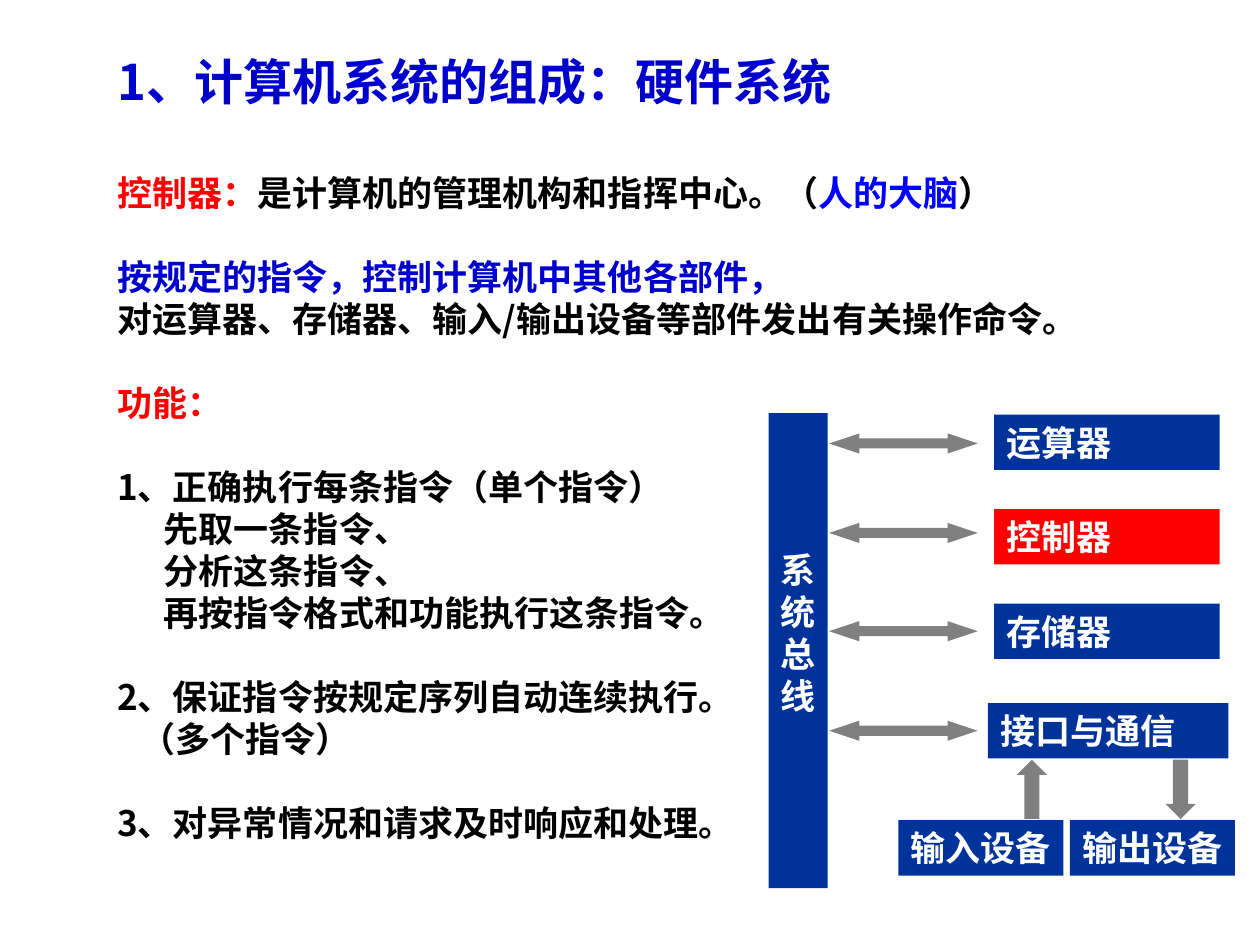
import dataclasses

import pptx
import pptx.dml.color
import pptx.enum.shapes
import pptx.enum.text
import pptx.oxml
import pptx.oxml.ns
import pptx.util

Inches = pptx.util.Inches
Pt = pptx.util.Pt
SHAPE = pptx.enum.shapes.MSO_SHAPE
ALIGN = pptx.enum.text.PP_ALIGN
ANCHOR = pptx.enum.text.MSO_ANCHOR


@dataclasses.dataclass(frozen=True)
class Theme:
    font: str = "Noto Sans CJK SC"
    title_size: int = 28
    body_size: int = 20
    line_pitch: int = 24
    heading: str = "0000CC"
    body: str = "000000"
    accent: str = "FF0000"
    note: str = "0000FF"
    block: str = "003399"
    label: str = "FFFFFF"
    arrow: str = "808080"


THEME = Theme()


def rgb(value):
    return pptx.dml.color.RGBColor.from_string(value)


def add_run(p, text, *, size=THEME.body_size, color=THEME.body, bold=True):
    """Append a formatted run, with the same face for Latin and Chinese."""
    r = p.add_run()
    r.text = text
    r.font.size = Pt(size)
    r.font.bold = bold
    r.font.color.rgb = rgb(color)
    r.font.name = THEME.font
    ea = pptx.oxml.parse_xml(
        f'<a:ea {pptx.oxml.ns.nsdecls("a")} typeface="{THEME.font}"/>')
    r.font._element.find(pptx.oxml.ns.qn("a:latin")).addnext(ea)
    return r


class SlideBuilder:
    def __init__(self, prs, theme):
        self.theme = theme
        self.s = prs.slides.add_slide(prs.slide_layouts[1])

    def place(self, sp, x, y, w, h):
        sp.left, sp.top = Inches(x), Inches(y)
        sp.width, sp.height = Inches(w), Inches(h)
        tf = sp.text_frame
        tf.word_wrap = True
        tf.auto_size = pptx.enum.text.MSO_AUTO_SIZE.NONE
        return tf

    def title(self, text, *box):
        tf = self.place(self.s.shapes.title, *box)
        tf.vertical_anchor = ANCHOR.MIDDLE
        p = tf.paragraphs[0]
        p.alignment = ALIGN.LEFT
        add_run(p, text, size=self.theme.title_size, color=self.theme.heading)

    def body(self, lines, *box):
        """Each line is (gap before in lines, left indent, [(text, color)])."""
        tf = self.place(self.s.placeholders[1], *box)
        tf.vertical_anchor = ANCHOR.TOP
        for i, (gap, indent, runs) in enumerate(lines):
            p = tf.paragraphs[0] if i == 0 else tf.add_paragraph()
            pPr = p._p.get_or_add_pPr()
            pPr.set("marL", str(Inches(indent)))
            pPr.set("indent", "0")
            pPr.append(pptx.oxml.parse_xml(
                f'<a:buNone {pptx.oxml.ns.nsdecls("a")}/>'))
            p.line_spacing = Pt(self.theme.line_pitch)
            p.space_before = Pt(gap * self.theme.line_pitch)
            for text, color in runs:
                add_run(p, text, color=color)

    def shape(self, kind, fill, x, y, w, h):
        sp = self.s.shapes.add_shape(
            kind, Inches(x), Inches(y), Inches(w), Inches(h))
        sp.shadow.inherit = False
        sp.fill.solid()
        sp.fill.fore_color.rgb = rgb(fill)
        sp.line.fill.background()
        return sp

    def block(self, text, x, y, w, h=0.44, fill=THEME.block):
        tf = self.shape(SHAPE.RECTANGLE, fill, x, y, w, h).text_frame
        tf.word_wrap = False
        tf.vertical_anchor = ANCHOR.MIDDLE
        p = tf.paragraphs[0]
        p.alignment = ALIGN.LEFT
        add_run(p, text, color=self.theme.label)

    def bus(self, text, *box):
        """Tall bar with one character per line."""
        tf = self.shape(SHAPE.RECTANGLE, self.theme.block, *box).text_frame
        tf.vertical_anchor = ANCHOR.TOP
        tf.margin_top = Inches(1.07)
        for i, char in enumerate(text):
            p = tf.paragraphs[0] if i == 0 else tf.add_paragraph()
            p.alignment = ALIGN.CENTER
            p.line_spacing = Pt(self.theme.line_pitch)
            add_run(p, char, color=self.theme.label)

    def arrow(self, kind, x, y, w, h, head=0.5):
        sp = self.shape(kind, self.theme.arrow, x, y, w, h)
        sp.adjustments[0] = 0.5
        sp.adjustments[1] = head


def main():
    prs = pptx.Presentation()
    prs.slide_width, prs.slide_height = Inches(10), Inches(7.5)
    t = THEME
    slide = SlideBuilder(prs, t)

    # Title and explanation
    slide.title("1、计算机系统的组成：硬件系统", 0.83, 0.36, 7.17, 0.57)
    step = 0.37
    slide.body([
        (0, 0, [("控制器：", t.accent),
                ("是计算机的管理机构和指挥中心。（", t.body),
                ("人的大脑", t.note), ("）", t.body)]),
        (1, 0, [("按规定的指令，控制计算机中其他各部件，", t.heading)]),
        (0, 0, [("对运算器、存储器、输入/输出设备等部件发出有关操作命令。", t.body)]),
        (1, 0, [("功能：", t.accent)]),
        (1, 0, [("1、正确执行每条指令（单个指令）", t.body)]),
        (0, step, [("先取一条指令、", t.body)]),
        (0, step, [("分析这条指令、", t.body)]),
        (0, step, [("再按指令格式和功能执行这条指令。", t.body)]),
        (1, 0, [("2、保证指令按规定序列自动连续执行。", t.body)]),
        (0, step / 2, [("（多个指令）", t.body)]),
        (1, 0, [("3、对异常情况和请求及时响应和处理。", t.body)]),
    ], 0.83, 1.31, 8.9, 5.77)

    # System bus and the components on it
    slide.bus("系统总线", 6.1, 3.28, 0.47, 3.77)
    components = [("运算器", t.block), ("控制器", t.accent), ("存储器", t.block)]
    for i, (name, fill) in enumerate(components):
        slide.block(name, 7.89, 3.29 + 0.75 * i, 1.79, fill=fill)
    slide.block("接口与通信", 7.84, 5.58, 1.91)
    for y in (3.44, 4.15, 4.93, 5.72):
        slide.arrow(SHAPE.LEFT_RIGHT_ARROW, 6.58, y, 1.18, 0.16, head=1.5)

    # Input and output devices
    devices = [("输入设备", 7.13, SHAPE.UP_ARROW, 8.07),
               ("输出设备", 8.49, SHAPE.DOWN_ARROW, 9.25)]
    for name, x, kind, arrow_x in devices:
        slide.block(name, x, 6.51, 1.31)
        slide.arrow(kind, arrow_x, 6.03, 0.24, 0.47)

    prs.save("out.pptx")


if __name__ == "__main__":
    main()
